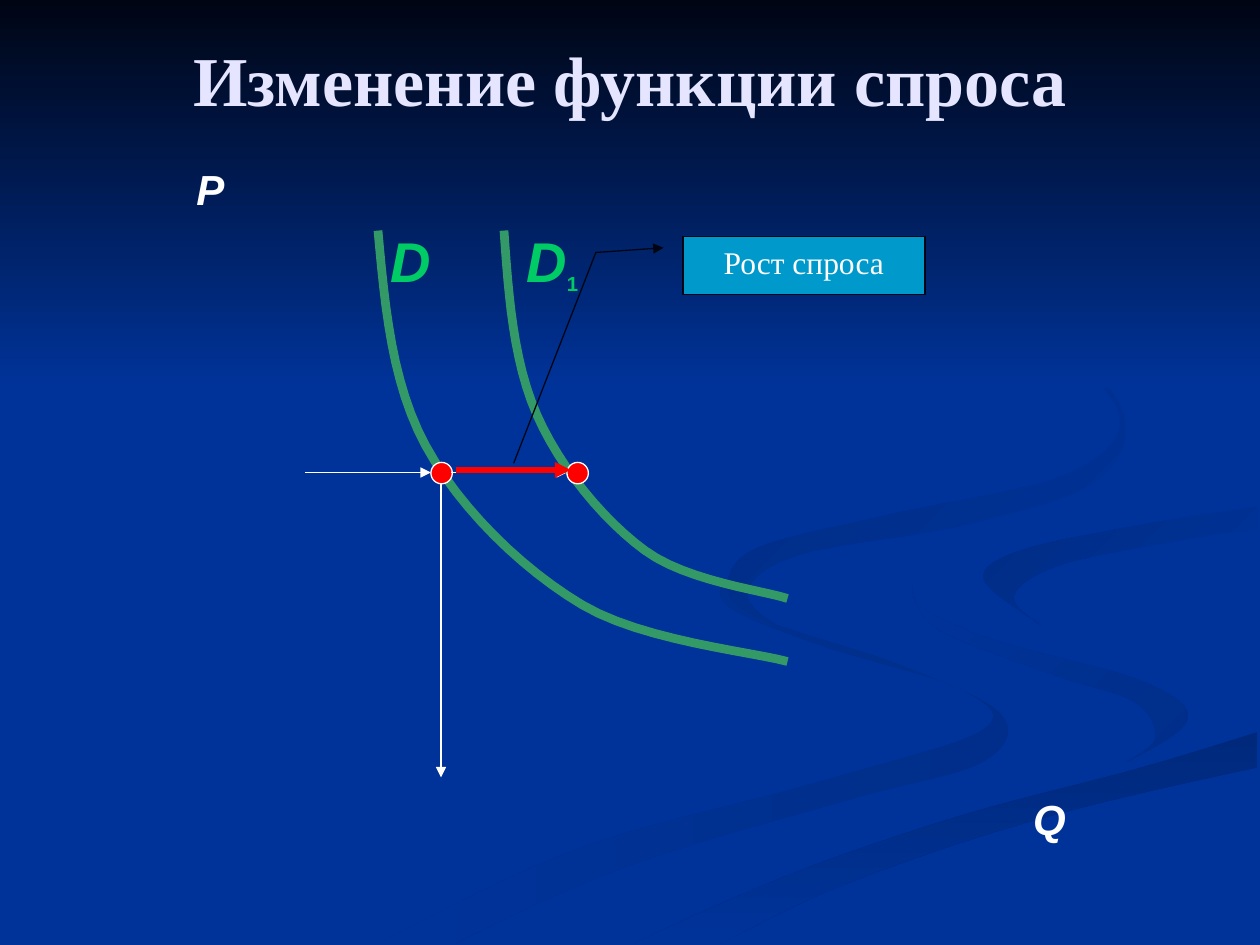
"""Builds a slide showing a shift of the demand curve."""
from lxml import etree
from pptx import Presentation
from pptx.dml.color import RGBColor
from pptx.enum.shapes import MSO_CONNECTOR, MSO_SHAPE
from pptx.enum.text import MSO_ANCHOR, MSO_AUTO_SIZE, PP_ALIGN
from pptx.oxml.ns import qn
from pptx.util import Inches, Pt

STRAIGHT = MSO_CONNECTOR.STRAIGHT
DOT, CALLOUT = MSO_SHAPE.FLOWCHART_CONNECTOR, MSO_SHAPE.LINE_CALLOUT_2
TOP, MIDDLE = MSO_ANCHOR.TOP, MSO_ANCHOR.MIDDLE
GROW = MSO_AUTO_SIZE.SHAPE_TO_FIT_TEXT
CENTER, LEFT = PP_ALIGN.CENTER, PP_ALIGN.LEFT

BLUE = RGBColor(0x00, 0x33, 0x99)
NIGHT = RGBColor(0x00, 0x05, 0x14)
SHADE = RGBColor(0x00, 0x2E, 0x8A)
DEEP_SHADE = RGBColor(0x00, 0x29, 0x7C)
EDGE_SHADE = RGBColor(0x00, 0x2C, 0x85)
TOP_SHADE = RGBColor(0x00, 0x2B, 0x81)
LAVENDER = RGBColor(0xE5, 0xE5, 0xFF)
WHITE = RGBColor(0xFF, 0xFF, 0xFF)
RED = RGBColor(0xFF, 0x00, 0x00)
CURVE_GREEN = RGBColor(0x33, 0x99, 0x66)
LABEL_GREEN = RGBColor(0x00, 0xCC, 0x66)
CYAN = RGBColor(0x00, 0x99, 0xCC)

TITLE_FONT = {"name": "Times New Roman", "size": Pt(40), "bold": True}
CALLOUT_FONT = {"name": "Times New Roman", "size": Pt(18)}
AXIS_FONT = {"name": "Arial", "size": Pt(24), "bold": True, "italic": True}
CURVE_FONT = {**AXIS_FONT, "size": Pt(32)}
INDEX_FONT = {"name": "Arial", "size": Pt(20), "bold": True, "italic": False}

# Each ribbon: first colour, last colour, clockwise angle, two smooth sides.
RIBBONS = [
    (SHADE, BLUE, 180,
     [(5.75, 4.59), (5.81, 4.83), (6.54, 5.13), (7.62, 5.47), (7.8, 5.79), (6.52, 6.2),
      (4.58, 6.74), (3, 7.49)],
     [(3.61, 7.49), (4.99, 6.87), (6.76, 6.34), (7.8, 6.05), (7.95, 5.67), (7.15, 5.28),
      (6.02, 4.9), (5.75, 4.59)]),
    (SHADE, BLUE, 225,
     [(7.24, 4.64), (7.46, 5), (8.38, 5.36), (9, 5.57), (9.17, 5.85), (8.94, 6.05)],
     [(8.94, 6.05), (9.43, 5.7), (9.05, 5.4), (7.92, 5.09), (7.33, 4.83), (7.24, 4.64)]),
    (DEEP_SHADE, BLUE, 90,
     [(5.03, 7.49), (6.3, 6.93), (7.64, 6.47), (9.03, 6.1), (9.98, 5.81)],
     [(9.98, 6.09), (8.21, 6.51), (6.7, 7.02), (5.71, 7.49)]),
    (BLUE, EDGE_SHADE, 225,
     [(9.98, 4.02), (8.98, 4.18), (8.1, 4.37), (7.81, 4.6), (8.26, 4.96)],
     [(8.26, 4.96), (8.05, 4.72), (8.43, 4.48), (9.36, 4.29), (9.98, 4.2)]),
    (BLUE, TOP_SHADE, 225,
     [(7.62, 2.33), (8.46, 2.79), (8.89, 3.35), (8.42, 3.78), (7.04, 4.09), (5.97, 4.37),
      (5.8, 4.74), (6.22, 5)],
     [(6.22, 5), (5.93, 4.7), (6.35, 4.4), (7.64, 4.17), (8.67, 3.84), (8.93, 3.35),
      (8.54, 2.83), (7.62, 2.33)]),
    (NIGHT, BLUE, 90, [(0, 0), (10, 0)], [(10, 3.08), (0, 3.08)]),
]
DEMAND = [(3, 1.83), (3.38, 3.54), (4.62, 4.8), (6.25, 5.25)]
NEW_DEMAND = [(4, 1.83), (4.26, 3.29), (5.12, 4.37), (6.25, 4.75)]


def bezier(controls, t):
    """Return the point at t on a cubic curve."""
    weights = ((1 - t) ** 3, 3 * t * (1 - t) ** 2, 3 * t * t * (1 - t), t ** 3)
    return tuple(sum(w * p[axis] for w, p in zip(weights, controls)) for axis in (0, 1))


def smooth(knots, steps=12):
    """Return points on a smooth curve through the knots."""
    points = [knots[0]]
    for i, (start, end) in enumerate(zip(knots, knots[1:])):
        before, after = knots[max(i - 1, 0)], knots[min(i + 2, len(knots) - 1)]
        arrive = tuple(e - (a - s) / 6 for s, e, a in zip(start, end, after))
        if i:
            leave = tuple(s + (e - b) / 6 for b, s, e in zip(before, start, end))
        else:
            leave = tuple((s + a) / 2 for s, a in zip(start, arrive))
        controls = (start, leave, arrive, end)
        points += [bezier(controls, step / steps) for step in range(1, steps + 1)]
    return points


def add_outline(page, points, close):
    """Add a freeform through points given in inches."""
    corners = [(Inches(x), Inches(y)) for x, y in points]
    builder = page.shapes.build_freeform(*corners[0])
    builder.add_line_segments(corners[1:], close=close)
    shape = builder.convert_to_shape()
    shape.shadow.inherit = False
    return shape


def add_ribbon(page, first, last, angle, side, other_side):
    """Add a borderless area with a two-colour gradient."""
    ribbon = add_outline(page, smooth(side) + smooth(other_side), True)
    ribbon.line.fill.background()
    ribbon.fill.gradient()
    ribbon.fill.gradient_angle = 360 - angle
    for stop, color in zip(ribbon.fill.gradient_stops, (first, last)):
        stop.color.rgb = color


def add_curve(page, knots):
    """Add a thick demand curve."""
    curve = add_outline(page, smooth(knots), False)
    curve.fill.background()
    set_line(curve.line, CURVE_GREEN, 5)


def set_line(line, color, width, arrow_end=None):
    """Format a line and give one end an arrowhead if named."""
    line.color.rgb = color
    line.width = Pt(width)
    if arrow_end:
        etree.SubElement(line._get_or_add_ln(), qn(f"a:{arrow_end}"), type="triangle")


def add_arrow(page, start, end, color=WHITE, width=0.75):
    """Add a straight arrow between two points."""
    arrow = page.shapes.add_connector(STRAIGHT, *map(Inches, start + end))
    set_line(arrow.line, color, width, "tailEnd")
    etree.SubElement(arrow._element.spPr, qn("a:effectLst"))


def add_shape(page, kind, place, fill, line_color):
    """Add a filled preset shape with a thin outline."""
    shape = page.shapes.add_shape(kind, *map(Inches, place))
    shape.shadow.inherit = False
    shape.fill.solid()
    shape.fill.fore_color.rgb = fill
    set_line(shape.line, line_color, 0.75)
    return shape


def add_dot(page, left):
    """Add a red point on a demand curve."""
    add_shape(page, DOT, (left, 3.67, 0.17, 0.17), RED, WHITE)


def add_span(para, text, color, font):
    """Append formatted text to a paragraph."""
    span = para.add_run()
    span.text = text
    span.font.color.rgb = color
    for name, value in font.items():
        setattr(span.font, name, value)
    return span


def add_label(page, place, text, color, font, align, space):
    """Add a text box with one line and return its paragraph."""
    box = page.shapes.add_textbox(*map(Inches, place))
    box.text_frame.word_wrap = True
    box.text_frame.auto_size = GROW
    para = box.text_frame.paragraphs[0]
    para.alignment, para.space_before = align, Pt(space)
    add_span(para, text, color, font)
    return para


def add_title(page, text):
    """Place the title over the backdrop."""
    title = page.shapes.title
    page.shapes._spTree.append(title._element)
    for name, value in {"left": 0, "top": 0, "width": 10, "height": 1.25}.items():
        setattr(title, name, Inches(value))
    title.text_frame.vertical_anchor = MIDDLE
    para = title.text_frame.paragraphs[0]
    para.alignment = CENTER
    add_span(para, text, LAVENDER, TITLE_FONT)


def add_callout(page, text):
    """Add the callout pointing at the shift."""
    callout = add_shape(page, CALLOUT, (5.42, 1.88, 1.92, 0.46), CYAN, NIGHT)
    for i, value in enumerate((0.19, -0.08, 0.27, -0.36, 3.91, -0.7)):
        callout.adjustments[i] = value
    set_line(callout.line, NIGHT, 0.75, "headEnd")
    callout.text_frame.vertical_anchor = TOP
    para = callout.text_frame.paragraphs[0]
    para.alignment = CENTER
    add_span(para, text, WHITE, CALLOUT_FONT)


def main():
    """Build and save the slide."""
    deck = Presentation()
    deck.slide_width, deck.slide_height = Inches(10), Inches(7.5)
    page = deck.slides.add_slide(deck.slide_layouts[5])
    page.background.fill.solid()
    page.background.fill.fore_color.rgb = BLUE
    for ribbon in RIBBONS:
        add_ribbon(page, *ribbon)
    add_title(page, "Изменение функции спроса")
    add_arrow(page, (3.5, 3.83), (3.5, 6.17))
    add_arrow(page, (2.42, 3.75), (3.42, 3.75))
    add_curve(page, DEMAND)
    add_dot(page, 3.42)
    for text, left, top in (("P", 1.42, 1.25), ("Q", 8.08, 6.25)):
        add_label(page, (left, top, 0.5, 0.5), text, WHITE, AXIS_FONT, CENTER, 15)
    add_arrow(page, (3.58, 3.75), (4.5, 3.75))
    para = add_label(page, (4.08, 1.75, 0.67, 0.65), "D", LABEL_GREEN, CURVE_FONT, LEFT, 12.5)
    index = add_span(para, "1", LABEL_GREEN, INDEX_FONT)
    index._r.get_or_add_rPr().set("baseline", "-25000")
    add_label(page, (3, 1.75, 0.67, 0.64), "D", LABEL_GREEN, CURVE_FONT, LEFT, 20)
    add_curve(page, NEW_DEMAND)
    add_callout(page, "Рост спроса")
    add_dot(page, 4.5)
    add_arrow(page, (3.62, 3.73), (4.53, 3.73), RED, 3)
    deck.save("out.pptx")


if __name__ == "__main__":
    main()
